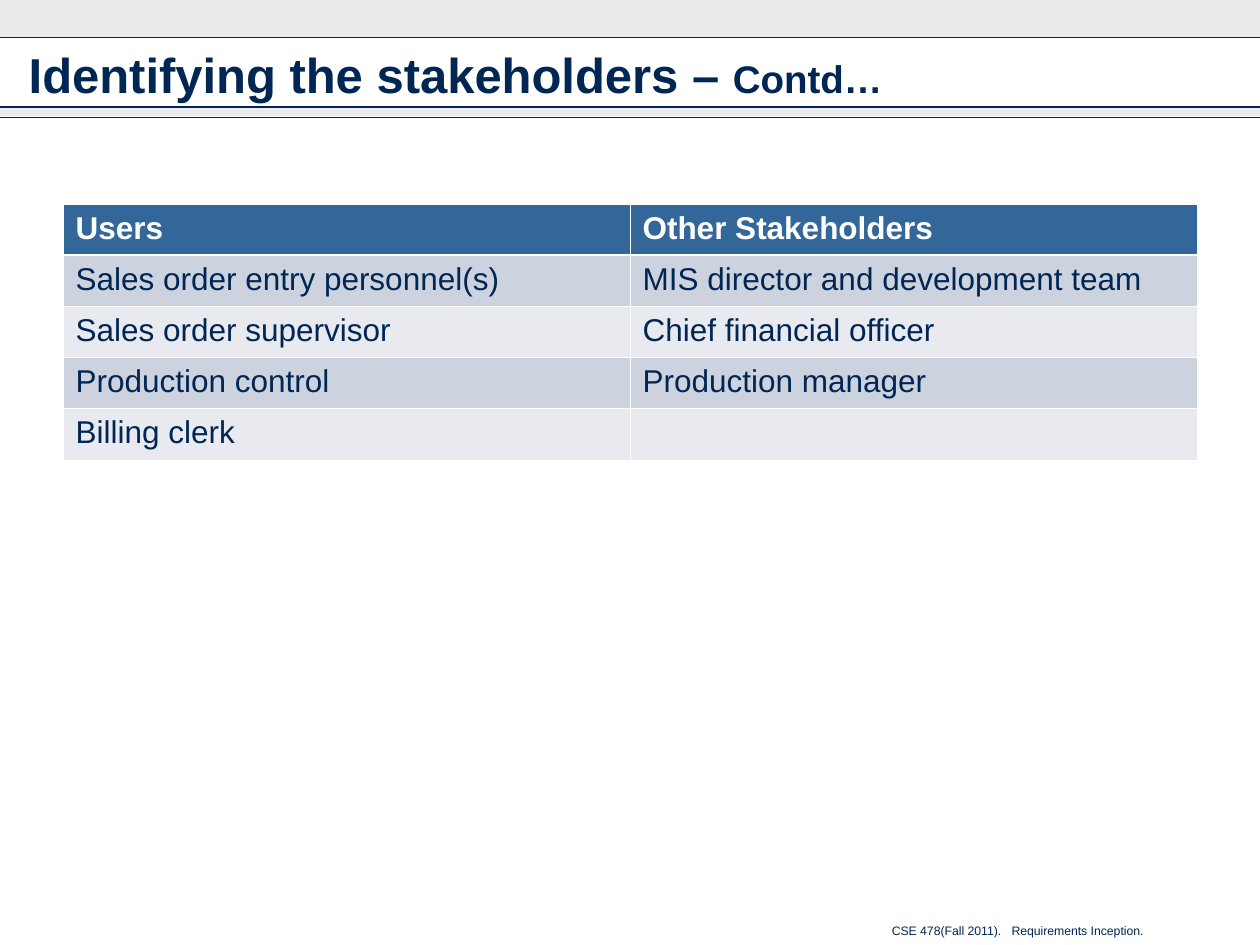
from dataclasses import dataclass

import pptx
import pptx.dml.color
import pptx.enum.shapes
import pptx.enum.text
import pptx.oxml
import pptx.oxml.ns
import pptx.util
from lxml import etree


@dataclass(frozen=True)
class Theme:
    font: str = "Arial"
    navy: str = "002654"
    white: str = "FFFFFF"
    band: str = "CDCDCD"
    header: str = "336699"
    rows: tuple = ("CDD3DE", "E8EAEF")
    title_size: float = 28
    subtitle_size: float = 22
    table_size: float = 18
    footer_size: float = 7
    rule_width: float = 0.75
    grid_width: float = 0.45
    header_rule_width: float = 1.47


def rgb(value):
    return pptx.dml.color.RGBColor.from_string(value)


def add_xml(parent, tag, **attributes):
    return etree.SubElement(parent, pptx.oxml.ns.qn(tag), attributes)


class Deck:
    """Holds the theme and current slide; lengths are units of a 100 by 75 grid."""

    COLUMNS, ROWS = 100, 75

    def __init__(self, theme):
        self.theme = theme
        self.file = pptx.Presentation()
        self.file.slide_width = pptx.util.Inches(10)
        self.file.slide_height = pptx.util.Inches(7.5)
        self.slide = self.file.slides.add_slide(self.file.slide_layouts[6])

    def x(self, columns):
        return round(self.file.slide_width * columns / self.COLUMNS)

    def y(self, rows):
        return round(self.file.slide_height * rows / self.ROWS)

    def box(self, left, top, width, height):
        return self.x(left), self.y(top), self.x(width), self.y(height)

    def style(self, font, size, color, bold=False):
        font.color.rgb = rgb(color)
        formats = {"name": self.theme.font, "size": pptx.util.Pt(size), "bold": bold}
        for key, value in formats.items():
            setattr(font, key, value)

    def text(self, place, runs, tab=None, **frame_format):
        """Runs are (wording, size, bold); tab is a left stop in columns."""
        frame = self.slide.shapes.add_textbox(*self.box(*place)).text_frame
        for key, value in frame_format.items():
            setattr(frame, key, value)
        paragraph = frame.paragraphs[0]
        if tab is not None:
            stops = add_xml(paragraph._p.get_or_add_pPr(), "a:tabLst")
            add_xml(stops, "a:tab", pos=str(self.x(tab)), algn="l")
        for wording, size, bold in runs:
            run = paragraph.add_run()
            run.text = wording
            self.style(run.font, size, self.theme.navy, bold)

    def band(self, top, height):
        bar = self.slide.shapes.add_shape(
            pptx.enum.shapes.MSO_SHAPE.RECTANGLE, *self.box(0, top, self.COLUMNS, height))
        bar.shadow.inherit = False
        bar.fill.solid()
        bar.fill.fore_color.rgb = rgb(self.theme.band)
        bar.line.fill.background()
        color = bar._element.spPr.find(".//" + pptx.oxml.ns.qn("a:srgbClr"))
        add_xml(color, "a:alpha", val="40000")

    def rule(self, top):
        line = self.slide.shapes.add_connector(
            pptx.enum.shapes.MSO_CONNECTOR.STRAIGHT,
            0, self.y(top), self.x(self.COLUMNS), self.y(top))
        line.line.color.rgb = rgb(self.theme.navy)
        line.line.width = pptx.util.Pt(self.theme.rule_width)
        add_xml(line._element.spPr, "a:effectLst")

    def borders(self, cell, widths):
        properties = cell._tc.get_or_add_tcPr()
        for side, width in widths.items():
            edge = add_xml(properties, f"a:ln{side}", w=str(pptx.util.Pt(width)))
            add_xml(add_xml(edge, "a:solidFill"), "a:srgbClr", val=self.theme.white)

    def table(self, place, records):
        theme = self.theme
        grid = self.slide.shapes.add_table(
            len(records), len(records[0]), *self.box(*place)).table
        grid.horz_banding = False
        for r, record in enumerate(records):
            is_header = r == 0
            fill = theme.header if is_header else theme.rows[(r - 1) % 2]
            color = theme.white if is_header else theme.navy
            widths = dict.fromkeys("LRTB", theme.grid_width)
            if r < 2:
                widths["B" if is_header else "T"] = theme.header_rule_width
            for c, wording in enumerate(record):
                cell = grid.cell(r, c)
                self.borders(cell, widths)
                cell.fill.solid()
                cell.fill.fore_color.rgb = rgb(fill)
                cell.text = wording
                self.style(cell.text_frame.paragraphs[0].font,
                           theme.table_size, color, is_header)


STAKEHOLDERS = [
    ("Users", "Other Stakeholders"),
    ("Sales order entry personnel(s)", "MIS director and development team"),
    ("Sales order supervisor", "Chief financial officer"),
    ("Production control", "Production manager"),
    ("Billing clerk", ""),
]


def main():
    theme = Theme()
    deck = Deck(theme)
    deck.text((69.8, 72.8, 22.7, 2.2),
              [("CSE 478(Fall 2011).\tRequirements Inception.", theme.footer_size, False)],
              tab=9.5, word_wrap=False)
    for top, height in ((0, 3), (8.5, 0.7)):
        deck.band(top, height)
    for top in (8.5, 3, 9.3):
        deck.rule(top)
    deck.table((5, 16.2, 90, 20.3), STAKEHOLDERS)
    deck.text((1.3, 2.6, 97.4, 6.6),
              [("Identifying the stakeholders – ", theme.title_size, True),
               ("Contd…", theme.subtitle_size, True)],
              word_wrap=True, vertical_anchor=pptx.enum.text.MSO_ANCHOR.MIDDLE)
    deck.file.save("out.pptx")


if __name__ == "__main__":
    main()
